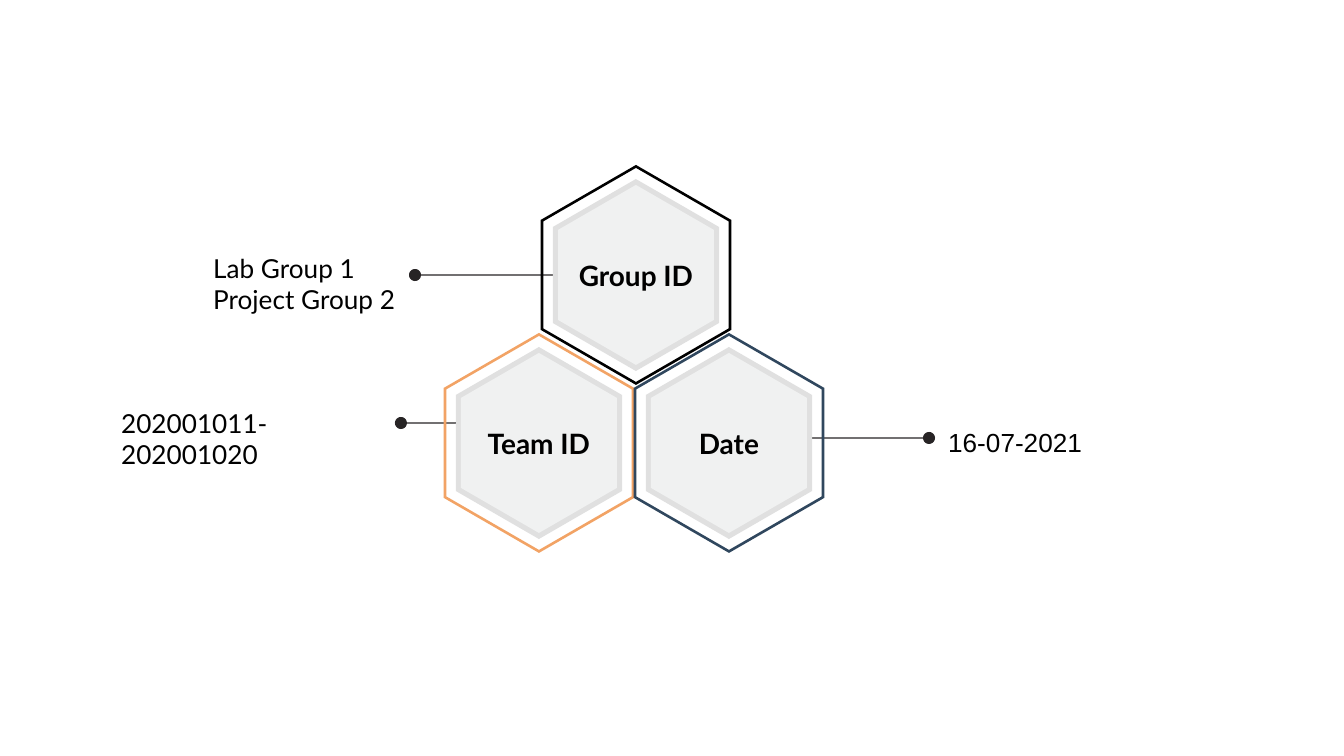
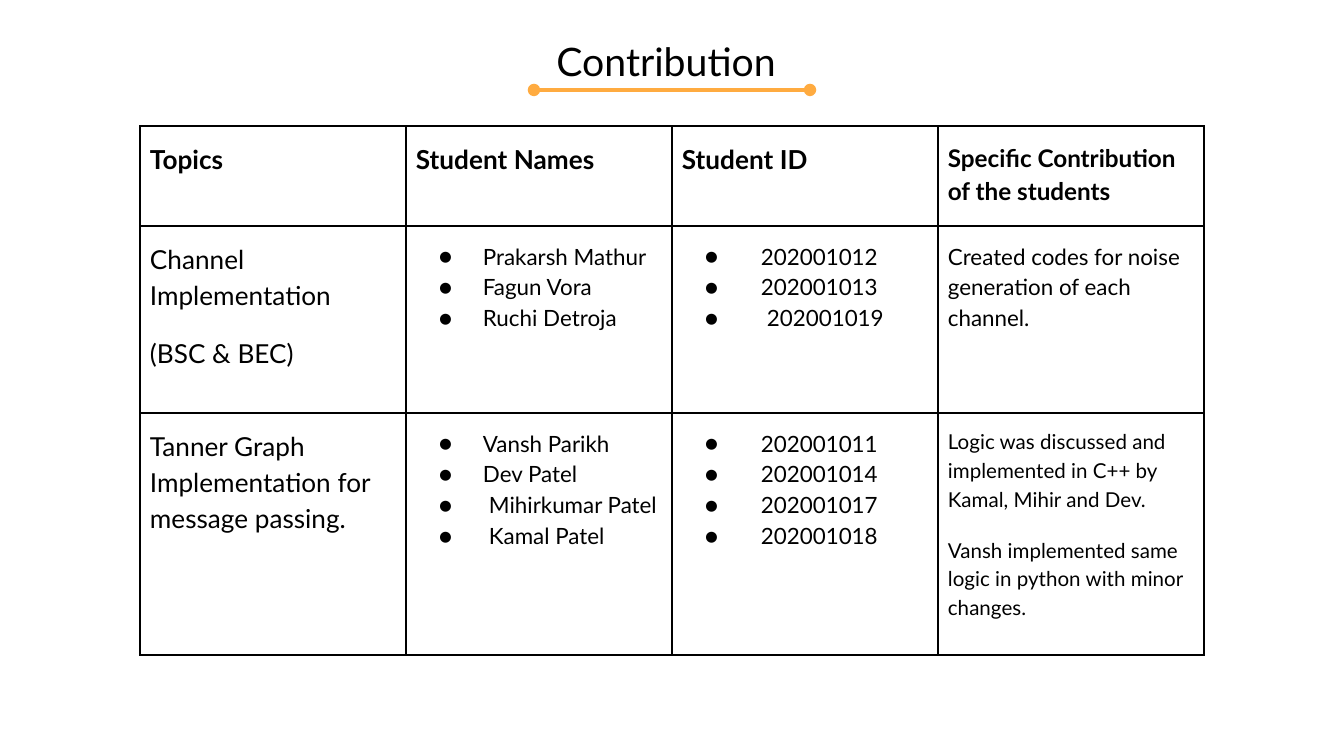
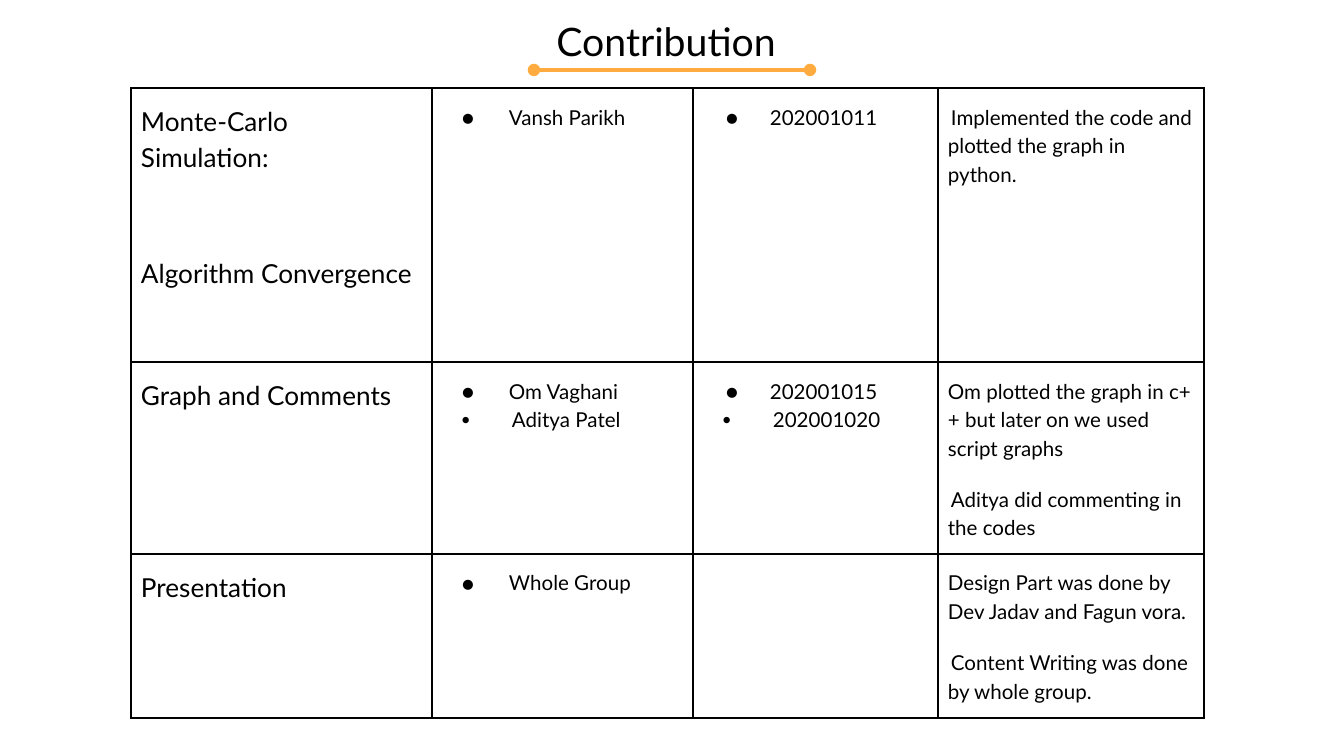
"""Build three slides: a team hexagon diagram and two contribution tables."""
import math

import lxml.etree
import pptx
import pptx.dml.color
import pptx.enum.shapes
import pptx.enum.text
import pptx.oxml.ns
import pptx.util

BLACK = pptx.dml.color.RGBColor(0x00, 0x00, 0x00)
CHARCOAL = pptx.dml.color.RGBColor(0x27, 0x24, 0x25)
PEACH = pptx.dml.color.RGBColor(0xF2, 0xA3, 0x65)
NAVY = pptx.dml.color.RGBColor(0x30, 0x47, 0x5E)
PLATE_GREY = pptx.dml.color.RGBColor(0xE0, 0xE0, 0xE0)
FACE_GREY = pptx.dml.color.RGBColor(0xF0, 0xF1, 0xF1)
AMBER = pptx.dml.color.RGBColor(0xFF, 0xAB, 0x40)

PIXELS_PER_INCH = 134.4
SLIDE_SIZE = (1344, 756)
RING_RADIUS, HOLE_RADIUS, PLATE_RADIUS, FACE_RADIUS = 110, 107, 96, 90
DOT_RADIUS = 6
BULLET_MARGIN = 67

HEXAGONS = [
    ("Group ID", (636, 275), BLACK),
    ("Team ID", (539, 443), PEACH),
    ("Date", (729, 443), NAVY),
]
LEADERS = [(395, 468, 423), (774, 935, 438), (409, 570, 275)]
LABELS = [
    (["Lab Group 1", "Project Group 2"], (200, 239, 258, 90), "Lato"),
    (["202001011-202001020"], (108, 394, 278, 59), "Lato"),
    (["16-07-2021"], (935, 413, 191, 59), "Arial"),
]

BULLET = {"hang": 44}
BULLET_BY_3 = {"hang": 47, "nudge": 3, "bullet_percent": 64}
BULLET_BY_6 = {"hang": 44, "nudge": 6}
BULLET_BY_12 = {"hang": 44, "nudge": 12}
BULLET_BY_18 = {"hang": 44, "nudge": 18}
WIDE_BULLET = {"hang": 47}
NUDGED = {"nudge": 3}
BOLD = {"bold": True}

CONTRIBUTIONS = [
    {
        "title": "Contribution", "title_top": 31, "table_at": (140, 126),
        "columns": [266, 266, 266, 266], "rows": [100, 187, 242],
        "cells": [
            [
                [("Topics", 14, BOLD)],
                [("Student Names", 14, BOLD)],
                [("Student ID", 14, BOLD)],
                [("Specific Contribution of the students", 13, BOLD)],
            ],
            [
                [("Channel Implementation", 14, {}), ("(BSC & BEC)", 14, {})],
                [("Prakarsh Mathur", 12, BULLET), ("Fagun Vora", 12, BULLET),
                 ("Ruchi Detroja", 12, BULLET)],
                [("202001012", 12, BULLET_BY_12), ("202001013", 12, BULLET_BY_12),
                 ("202001019", 12, BULLET_BY_18)],
                [("Created codes for noise generation of each channel.", 12, {})],
            ],
            [
                [("Tanner Graph Implementation for message passing.", 14, {})],
                [("Vansh Parikh", 12, BULLET), ("Dev Patel", 12, BULLET),
                 ("Mihirkumar Patel", 12, BULLET_BY_6), ("Kamal Patel", 12, BULLET_BY_6)],
                [("202001011", 12, BULLET_BY_12), ("202001014", 12, BULLET_BY_12),
                 ("202001017", 12, BULLET_BY_12), ("202001018", 12, BULLET_BY_12)],
                [("Logic was discussed and implemented in C++ by Kamal, Mihir and Dev.", 11, {}),
                 ("Vansh implemented same logic in python with minor changes.", 11, {})],
            ],
        ],
    },
    {
        "title": "Contribution", "title_top": 11, "table_at": (131, 88),
        "columns": [301, 261, 245, 266], "rows": [274, 192, 164],
        "cells": [
            [
                [("Monte-Carlo Simulation:", 14, {}),
                 ("Algorithm Convergence", 14, {"before": 43})],
                [("Vansh Parikh", 11, WIDE_BULLET)],
                [("202001011", 11, BULLET)],
                [("Implemented the code and plotted the graph in python.", 11, NUDGED)],
            ],
            [
                [("Graph and Comments", 14, {})],
                [("Om Vaghani", 11, WIDE_BULLET), ("Aditya Patel", 11, BULLET_BY_3)],
                [("202001015", 11, BULLET), ("202001020", 11, BULLET_BY_3)],
                [("Om plotted the graph in c++ but later on we used script graphs", 11, {}),
                 ("Aditya did commenting in the codes", 11, NUDGED)],
            ],
            [
                [("Presentation", 14, {})],
                [("Whole Group", 11, WIDE_BULLET)],
                [],
                [("Design Part was done by Dev Jadav and Fagun vora.", 11, {}),
                 ("Content Writing was done by whole group.", 11, NUDGED)],
            ],
        ],
    },
]


def px(length):
    return pptx.util.Emu(round(length * 914400 / PIXELS_PER_INCH))


def set_values(target, values):
    for name, value in values.items():
        setattr(target, name, value)


def add_xml(parent, tag, **attributes):
    return lxml.etree.SubElement(parent, pptx.oxml.ns.qn(tag), attributes)


def write_run(paragraph, text, size, font="Lato", bold=False):
    run = paragraph.add_run()
    run.text = text
    set_values(run.font, {"size": pptx.util.Pt(size), "name": font, "bold": bold})
    run.font.color.rgb = BLACK


def format_frame(frame, anchor, auto_size=pptx.enum.text.MSO_AUTO_SIZE.NONE):
    sides = ("left", "top", "right", "bottom")
    set_values(frame, {f"margin_{side}": pptx.util.Inches(0.1) for side in sides})
    set_values(frame, {"word_wrap": True, "vertical_anchor": anchor, "auto_size": auto_size})


def write_lines(frame, lines, size, alignment, **font_values):
    for index, line in enumerate(lines):
        paragraph = frame.add_paragraph() if index else frame.paragraphs[0]
        paragraph.alignment = alignment
        write_run(paragraph, line, size, **font_values)


def add_outline(slide, contours, color):
    contours = [[(px(x), px(y)) for x, y in contour] for contour in contours]
    builder = slide.shapes.build_freeform(*contours[0][0], scale=1.0)
    builder.add_line_segments(contours[0][1:], close=True)
    for contour in contours[1:]:
        builder.move_to(*contour[0])
        builder.add_line_segments(contour[1:], close=True)
    shape = builder.convert_to_shape()
    shape.shadow.inherit = False
    shape.fill.solid()
    shape.fill.fore_color.rgb = color
    shape.line.fill.background()
    return shape


def arc(center, radius, start, end, steps):
    angles = [start + (end - start) * step / steps for step in range(steps + 1)]
    return [(center[0] + radius * math.cos(angle), center[1] + radius * math.sin(angle))
            for angle in angles]


def hexagon(center, radius):
    return arc(center, radius, -math.pi / 2, 7 * math.pi / 6, 5)


def barbell(left, right, y):
    neck = 0.1
    return (arc((left + DOT_RADIUS, y), DOT_RADIUS, neck, 2 * math.pi - neck, 24)
            + arc((right - DOT_RADIUS, y), DOT_RADIUS, math.pi + neck, 3 * math.pi - neck, 24))


def add_team_slide(presentation):
    slide = presentation.slides.add_slide(presentation.slide_layouts[6])
    for lines, box, font in LABELS:
        frame = slide.shapes.add_textbox(*map(px, box)).text_frame
        format_frame(frame, pptx.enum.text.MSO_ANCHOR.TOP,
                     pptx.enum.text.MSO_AUTO_SIZE.SHAPE_TO_FIT_TEXT)
        write_lines(frame, lines, 14, pptx.enum.text.PP_ALIGN.LEFT, font=font)
    for leader in LEADERS:
        add_outline(slide, [barbell(*leader)], CHARCOAL)
    for name, center, color in HEXAGONS:
        hole = hexagon(center, HOLE_RADIUS)[::-1]
        add_outline(slide, [hexagon(center, RING_RADIUS), hole], color)
    for name, center, color in HEXAGONS:
        add_outline(slide, [hexagon(center, PLATE_RADIUS)], PLATE_GREY)
        face = add_outline(slide, [hexagon(center, FACE_RADIUS)], FACE_GREY)
        format_frame(face.text_frame, pptx.enum.text.MSO_ANCHOR.MIDDLE)
        write_lines(face.text_frame, [name], 15, pptx.enum.text.PP_ALIGN.CENTER, bold=True)


def add_title(slide, text, top):
    title = slide.shapes.title
    set_values(title, {"left": px(543), "top": px(top), "width": px(258), "height": px(59)})
    format_frame(title.text_frame, pptx.enum.text.MSO_ANCHOR.MIDDLE)
    write_lines(title.text_frame, [text], 21, pptx.enum.text.PP_ALIGN.LEFT)
    underline = slide.shapes.add_connector(
        pptx.enum.shapes.MSO_CONNECTOR.STRAIGHT,
        px(534), px(top + 59), px(810), px(top + 59))
    underline.line.color.rgb = AMBER
    underline.line.width = pptx.util.Pt(2.25)
    for end in ("a:headEnd", "a:tailEnd"):
        add_xml(underline.get_or_add_ln(), end, type="oval")
    add_xml(underline._element.spPr, "a:effectLst")


def write_cell_paragraph(paragraph, text, size, options, first):
    hang, nudge = options.get("hang", 0), options.get("nudge", 0)
    before = options.get("before", 12 if first or not hang else 0)
    set_values(paragraph, {"line_spacing": 1.15, "space_before": pptx.util.Pt(before)})
    properties = paragraph._p.get_or_add_pPr()
    if hang:
        properties.set("marL", str(px(BULLET_MARGIN + nudge)))
        properties.set("indent", str(px(-hang - nudge)))
        add_xml(add_xml(properties, "a:buClr"), "a:srgbClr", val=str(BLACK))
        percent = options.get("bullet_percent", 100)
        add_xml(properties, "a:buSzPct", val=str(percent * 1000))
        add_xml(properties, "a:buFont", typeface="Lato")
        add_xml(properties, "a:buChar", char="●")
    elif nudge:
        properties.set("indent", str(px(nudge)))
    write_run(paragraph, text, size, bold=options.get("bold", False))


def format_cell(cell):
    set_values(cell, {"margin_left": px(10), "margin_right": px(10),
                      "margin_top": px(13), "margin_bottom": px(13)})
    properties = cell._tc.get_or_add_tcPr()
    for side in ("a:lnL", "a:lnR", "a:lnT", "a:lnB"):
        border = add_xml(properties, side, w=str(pptx.util.Pt(1)))
        add_xml(add_xml(border, "a:solidFill"), "a:srgbClr", val=str(BLACK))
    cell.fill.background()


def add_contribution_slide(presentation, content):
    slide = presentation.slides.add_slide(presentation.slide_layouts[5])
    add_title(slide, content["title"], content["title_top"])
    columns, rows = content["columns"], content["rows"]
    left, top = content["table_at"]
    table = slide.shapes.add_table(
        len(rows), len(columns), px(left), px(top), px(sum(columns)), px(sum(rows))).table
    set_values(table, {"first_row": False, "horz_banding": False})
    for column, width in zip(table.columns, columns):
        column.width = px(width)
    for row, height, row_cells in zip(table.rows, rows, content["cells"]):
        row.height = px(height)
        for cell, paragraphs in zip(row.cells, row_cells):
            format_cell(cell)
            frame = cell.text_frame
            for index, (text, size, options) in enumerate(paragraphs):
                paragraph = frame.add_paragraph() if index else frame.paragraphs[0]
                write_cell_paragraph(paragraph, text, size, options, index == 0)


def main():
    presentation = pptx.Presentation()
    presentation.slide_width, presentation.slide_height = map(px, SLIDE_SIZE)
    add_team_slide(presentation)
    for content in CONTRIBUTIONS:
        add_contribution_slide(presentation, content)
    presentation.save("out.pptx")


if __name__ == "__main__":
    main()
